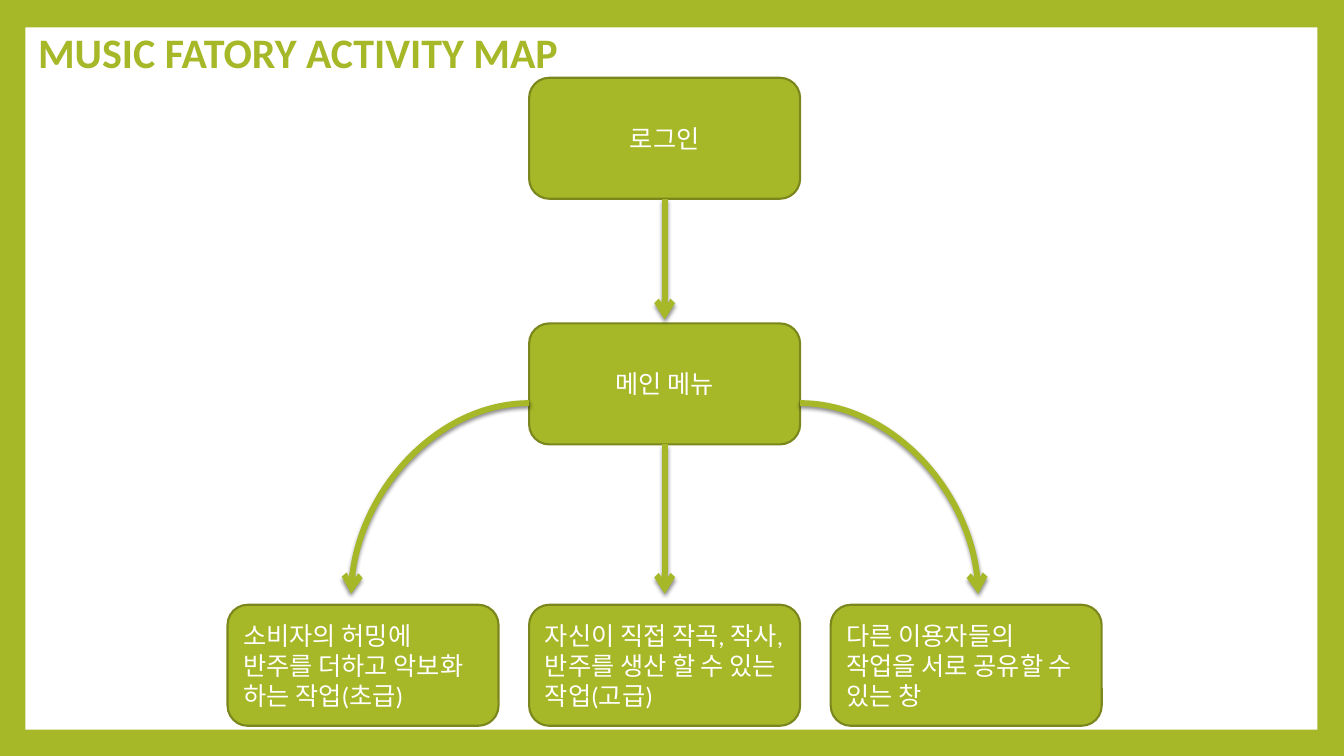
from lxml import etree
from pptx import Presentation
from pptx import util as u
from pptx.dml.color import RGBColor
from pptx.enum import shapes, text
from pptx.oxml import parse_xml
from pptx.oxml.ns import nsdecls, qn

# Content
TITLE = "MUSIC FATORY ACTIVITY MAP"
LOGIN = "로그인"
MAIN_MENU = "메인 메뉴"
ACTIVITIES = [
    "소비자의 허밍에 반주를 더하고 악보화 하는 작업(초급)",
    "자신이 직접 작곡, 작사, 반주를 생산 할 수 있는 작업(고급)",
    "다른 이용자들의 작업을 서로 공유할 수 있는 창",
]


class Theme:
    green = RGBColor.from_string("A6B727")
    outline = RGBColor.from_string("7B871D")
    white = RGBColor.from_string("FFFFFF")
    font = "Calibri"
    title_size = u.Pt(30)
    body_size = u.Pt(18)
    outline_width = u.Pt(1.5)
    arrow_width = u.Pt(4.25)


# Layout in centimetres
SLIDE_WIDTH, SLIDE_HEIGHT = 33.87, 19.05
BOX_WIDTH, BOX_HEIGHT = 6.83, 3.05
CENTER, COLUMN_STEP = 16.75, 7.6
LOGIN_TOP, MENU_TOP, ACTIVITY_TOP = 1.96, 8.15, 15.24
MENU_ARROW_END, ACTIVITY_ARROW_END = 8.05, 14.96
CURVE_START, CURVE_REACH = 10.16, 7.9

SHADOW = (
    f'<a:effectLst {nsdecls("a")}><a:outerShdw blurRad="38100" dist="25400" '
    'dir="5400000" rotWithShape="0"><a:srgbClr val="000000">'
    '<a:alpha val="45000"/></a:srgbClr></a:outerShdw></a:effectLst>'
)


def write(shape, words, size=Theme.body_size, color=Theme.white, bold=False,
          align=text.PP_ALIGN.LEFT):
    frame = shape.text_frame
    frame.word_wrap = True
    frame.vertical_anchor = text.MSO_ANCHOR.MIDDLE
    paragraph = frame.paragraphs[0]
    paragraph.alignment = align
    run = paragraph.add_run()
    run.text = words
    run.font.name = Theme.font
    run.font.size = size
    run.font.bold = bold
    run.font.color.rgb = color


def add_box(slide, words, center, top, align=text.PP_ALIGN.CENTER):
    box = slide.shapes.add_shape(
        shapes.MSO_SHAPE.ROUNDED_RECTANGLE, u.Cm(center - BOX_WIDTH / 2),
        u.Cm(top), u.Cm(BOX_WIDTH), u.Cm(BOX_HEIGHT))
    box.shadow.inherit = False
    box.fill.solid()
    box.fill.fore_color.rgb = Theme.green
    box.line.color.rgb = Theme.outline
    box.line.width = Theme.outline_width
    write(box, words, align=align)


def add_arrow(slide, start, end, curved=False):
    kind = shapes.MSO_CONNECTOR.CURVE if curved else shapes.MSO_CONNECTOR.STRAIGHT
    arrow = slide.shapes.add_connector(kind, *(u.Cm(value) for value in start + end))
    arrow.line.color.rgb = Theme.green
    arrow.line.width = Theme.arrow_width
    properties = arrow.element.spPr
    if curved:  # a single quarter bend
        properties.find(qn("a:prstGeom")).set("prst", "curvedConnector2")
    line = properties.find(qn("a:ln"))
    etree.SubElement(line, qn("a:tailEnd"), type="arrow")
    properties.append(parse_xml(SHADOW))


def main():
    presentation = Presentation()
    presentation.slide_width = u.Cm(SLIDE_WIDTH)
    presentation.slide_height = u.Cm(SLIDE_HEIGHT)
    slide = presentation.slides.add_slide(presentation.slide_layouts[6])

    # Green frame around a white panel
    slide.background.fill.solid()
    slide.background.fill.fore_color.rgb = Theme.green
    panel = slide.shapes.add_shape(
        shapes.MSO_SHAPE.RECTANGLE, u.Cm(0.64), u.Cm(0.69), u.Cm(32.56), u.Cm(17.7))
    panel.shadow.inherit = False
    panel.fill.solid()
    panel.fill.fore_color.rgb = Theme.white
    panel.line.fill.background()

    # Title
    title = slide.shapes.add_textbox(u.Cm(0.71), u.Cm(0.5), u.Cm(27.43), u.Cm(1.6))
    write(title, TITLE, size=Theme.title_size, color=Theme.green, bold=True)

    # Boxes
    add_box(slide, LOGIN, CENTER, LOGIN_TOP)
    add_box(slide, MAIN_MENU, CENTER, MENU_TOP)
    for column, activity in enumerate(ACTIVITIES, start=-1):
        add_box(slide, activity, CENTER + column * COLUMN_STEP, ACTIVITY_TOP,
                align=text.PP_ALIGN.LEFT)

    # Arrows
    add_arrow(slide, (CENTER, LOGIN_TOP + BOX_HEIGHT), (CENTER, MENU_ARROW_END))
    add_arrow(slide, (CENTER, MENU_TOP + BOX_HEIGHT), (CENTER, ACTIVITY_ARROW_END))
    for side in (-1, 1):
        add_arrow(slide, (CENTER + side * BOX_WIDTH / 2, CURVE_START),
                  (CENTER + side * CURVE_REACH, ACTIVITY_ARROW_END), curved=True)

    presentation.save("out.pptx")


if __name__ == "__main__":
    main()
